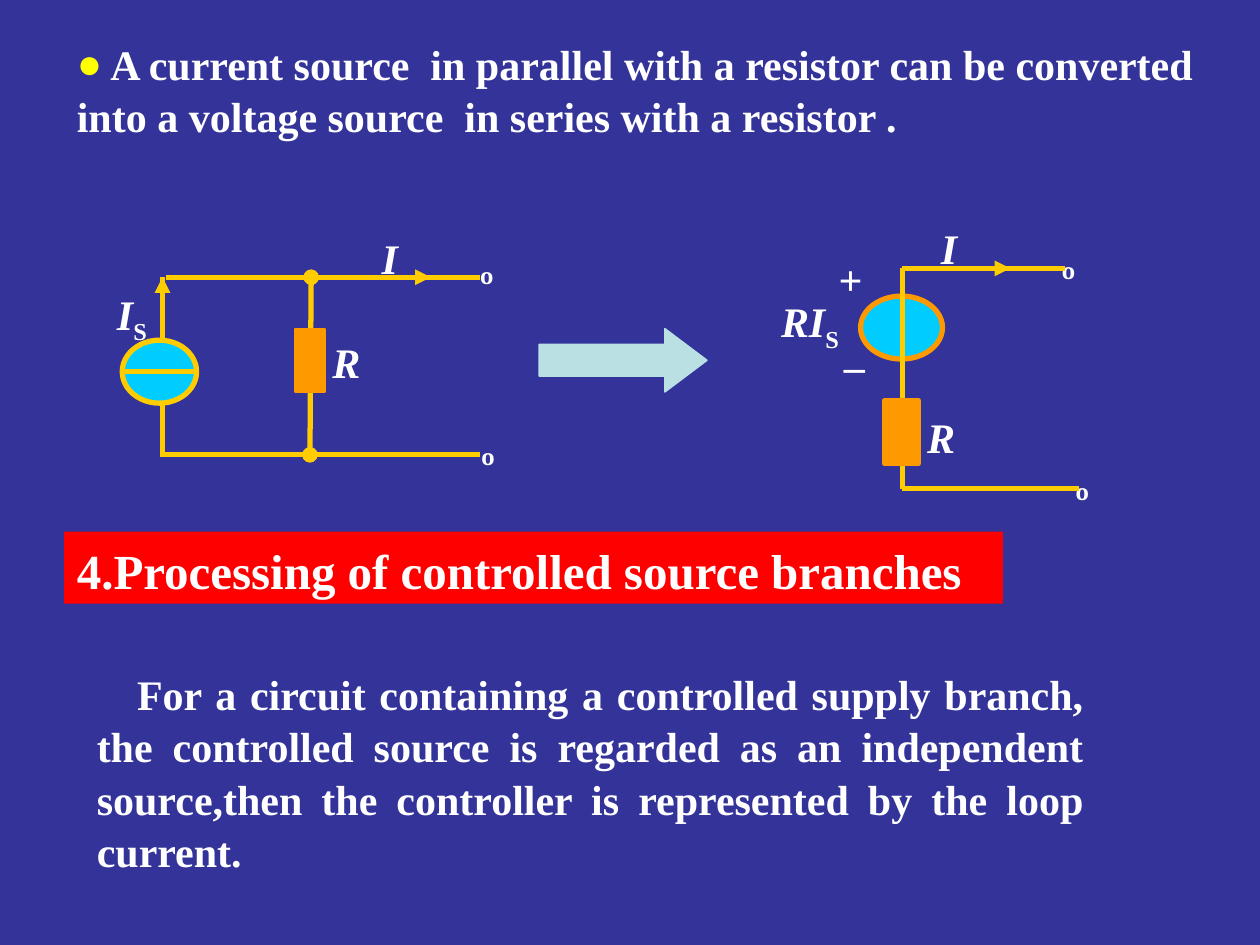
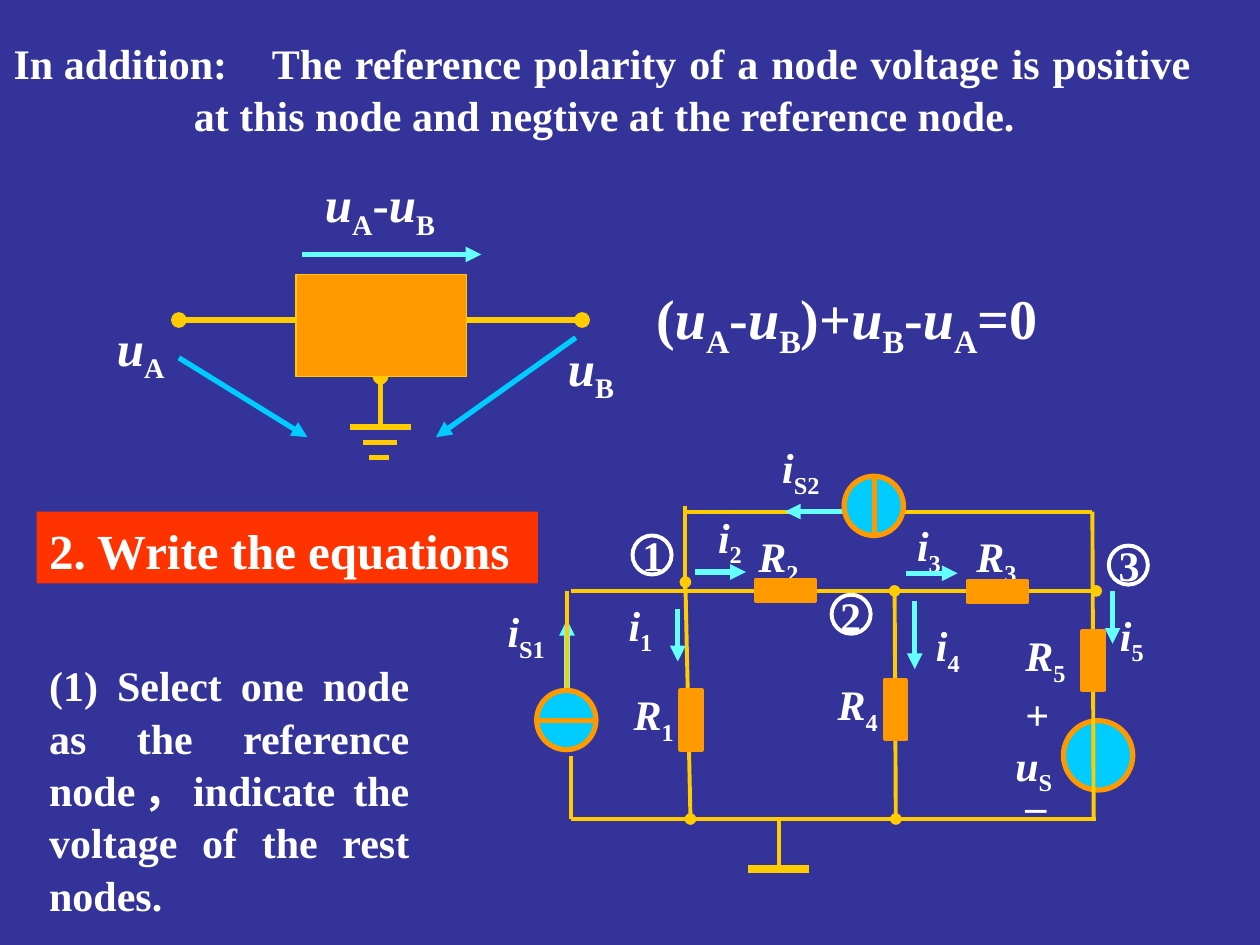
"""Build two lecture slides on source conversion and node voltages."""
from dataclasses import dataclass

from lxml.etree import SubElement
from pptx import Presentation
from pptx.dml.color import RGBColor
from pptx.enum.shapes import MSO_CONNECTOR, MSO_SHAPE
from pptx.enum.text import MSO_ANCHOR, MSO_AUTO_SIZE, PP_ALIGN
from pptx.oxml.ns import qn
from pptx.util import Inches, Pt


@dataclass(frozen=True)
class Theme:
    font: str = "Times New Roman"
    back: str = "333399"
    text: str = "FFFFFF"
    wire: str = "FFCC00"
    load: str = "FF9900"
    source: str = "00CCFF"
    flow: str = "66FFFF"
    pale: str = "BBE0E3"
    dot: str = "FFFF00"
    body: int = 24
    head: int = 28
    large: int = 32
    thin: float = 2.25
    thick: float = 3
    pitch: float = 1.04


T = Theme()
LEFT, MID, JUST = PP_ALIGN.LEFT, PP_ALIGN.CENTER, PP_ALIGN.JUSTIFY
OVAL, RECT = MSO_SHAPE.OVAL, MSO_SHAPE.RECTANGLE


def write(shape, text, box, size=T.body, align=LEFT, indent=0):
    """Place text; a piece led by / is italic and one led by ~ is a subscript."""
    shape.left, shape.top, shape.width, shape.height = map(Inches, box)
    frame = shape.text_frame
    frame.word_wrap = True
    frame.auto_size = MSO_AUTO_SIZE.NONE
    frame.vertical_anchor = MSO_ANCHOR.TOP
    para = frame.paragraphs[0]
    para.alignment = align
    para.line_spacing = T.pitch
    para.space_before = Pt(0)
    props = para._p.get_or_add_pPr()
    props.set("marL", "0")
    props.set("indent", str(Inches(indent)))
    for piece in text.split("|"):
        run = para.add_run()
        run.text = piece.lstrip("/~")
        font = run.font
        font.name, font.size, font.bold = T.font, Pt(size), True
        font.italic = piece.startswith("/")
        font.color.rgb = RGBColor.from_string(T.text)
        if piece.startswith("~"):
            run._r.get_or_add_rPr().set("baseline", "-25000")
    return props


def draw(slide, kind, box, edge, width, fill=None, tips=""):
    """Draw a preset shape, or a line from point to point when kind is None."""
    sizes = [Inches(n) for n in box]
    if kind is None:
        shape = slide.shapes.add_connector(MSO_CONNECTOR.STRAIGHT, *sizes)
    else:
        shape = slide.shapes.add_shape(kind, *sizes)
        shape.shadow.inherit = False
        if fill:
            shape.fill.solid()
            shape.fill.fore_color.rgb = RGBColor.from_string(fill)
        else:
            shape.fill.background()
    shape.line.color.rgb = RGBColor.from_string(edge)
    shape.line.width = Pt(width)
    if kind is None:
        props = shape.element.spPr
        for end, mark in (("headEnd", "o"), ("tailEnd", "O"), ("tailEnd", ">")):
            if mark in tips:
                tip = SubElement(props.find(qn("a:ln")), qn(f"a:{end}"))
                tip.set("type", "triangle" if mark == ">" else "oval")
        SubElement(props, qn("a:effectLst"))
    return shape


deck = Presentation()
deck.slide_width, deck.slide_height = Inches(10), Inches(7.5)
fill = deck.slide_master.background.fill
fill.solid()
fill.fore_color.rgb = RGBColor.from_string(T.back)
first, second = [deck.slides.add_slide(deck.slide_layouts[1]) for _ in range(2)]

for slide, text, box, color in (
    (first, "4.Processing of controlled source branches", (0.51, 4.22, 7.45, 0.57), "FF0000"),
    (second, "2. Write the equations", (0.29, 4.06, 3.98, 0.57), "FF3300"),
):
    title = slide.shapes.title
    write(title, text, box, T.head)
    title.fill.solid()
    title.fill.fore_color.rgb = RGBColor.from_string(color)

props = write(
    first.placeholders[1],
    " A current source  in parallel with a resistor can be converted "
    "into a voltage source  in series with a resistor .",
    (0.51, 0.24, 9.35, 0.91),
)
tint = SubElement(SubElement(props, qn("a:buClr")), qn("a:srgbClr"))
tint.set("val", T.dot)
SubElement(props, qn("a:buChar")).set("char", "●")

props = write(
    second.placeholders[1],
    "(1) Select one node as the reference node，indicate the voltage of the rest nodes.",
    (0.29, 5.17, 3.06, 2.12), align=JUST,
)
SubElement(props, qn("a:buNone"))

for slide, text, box, size, align, indent in (
    (first, "For a circuit containing a controlled supply branch, the controlled "
     "source is regarded as an independent source,then the controller is "
     "represented by the loop current.", (0.67, 5.24, 8.03, 1.72), T.body, JUST, 0.32),
    (second, "The reference polarity of a node voltage is positive at this node "
     "and negtive at the reference node.", (1.44, 0.23, 8.11, 0.91), T.body, JUST, 0.62),
    (second, "In addition:", (0.01, 0.23, 2.14, 0.5), T.body, LEFT, 0),
    (second, "(|/u|~A|-|/u|~B|)+|/u|~B|-|/u|~A|=0", (5.11, 2.18, 3.98, 0.63), T.large, LEFT, 0),
    (second, "/u|~A|-|/u|~B", (2.48, 1.31, 1.25, 0.57), T.head, LEFT, 0),
    (second, "/u|~A", (0.83, 2.45, 0.66, 0.57), T.head, LEFT, 0),
    (second, "/u|~B", (4.41, 2.61, 0.64, 0.57), T.head, LEFT, 0),
):
    write(slide.shapes.add_textbox(0, 0, 0, 0), text, box, size, align, indent)

for slide, text, left, top, width, align in (
    (first, "/I", 2.93, 1.78, 0.49, LEFT),
    (first, "/R", 2.54, 2.61, 0.44, LEFT),
    (first, "/I|~S", 0.83, 2.22, 0.59, LEFT),
    (first, "º", 3.71, 1.99, 0.24, MID),
    (first, "º", 3.72, 3.42, 0.24, MID),
    (first, "+", 6.51, 1.95, 0.48, MID),
    (first, "_", 6.54, 2.52, 0.48, MID),
    (first, "/RI|~S", 6.1, 2.28, 0.89, LEFT),
    (first, "/I", 7.37, 1.7, 0.54, LEFT),
    (first, "/R", 7.26, 3.2, 1.67, LEFT),
    (first, "º", 8.32, 1.95, 0.32, MID),
    (first, "º", 8.43, 3.7, 0.32, MID),
    (second, "/i|~S1", 3.93, 4.74, 0.58, LEFT),
    (second, "/i|~S2", 6.11, 3.44, 0.58, LEFT),
    (second, "/u|~S", 7.96, 5.8, 0.58, LEFT),
    (second, "/R|~1", 4.93, 5.4, 0.58, LEFT),
    (second, "/R|~2", 5.92, 4.14, 0.58, LEFT),
    (second, "/R|~3", 7.65, 4.14, 0.58, LEFT),
    (second, "/R|~4", 6.55, 5.32, 0.58, LEFT),
    (second, "/R|~5", 8.04, 4.93, 0.58, LEFT),
    (second, "/i|~1", 4.89, 4.69, 0.45, LEFT),
    (second, "/i|~2", 5.6, 3.99, 0.45, LEFT),
    (second, "/i|~3", 7.18, 4.06, 0.45, LEFT),
    (second, "/i|~4", 7.33, 4.85, 0.45, LEFT),
    (second, "/i|~5", 8.79, 4.77, 0.45, LEFT),
    (second, "+", 8.04, 5.4, 0.39, LEFT),
    (second, "_", 8.04, 6.01, 0.39, LEFT),
    (second, "1", 5, 4.14, 0.34, LEFT),
    (second, "2", 6.57, 4.62, 0.34, LEFT),
    (second, "3", 8.78, 4.22, 0.34, LEFT),
):
    write(slide.shapes.add_textbox(0, 0, 0, 0), text, (left, top, width, 0.5), align=align)

for ends, tips in (
    ((1.32, 2.2, 3.81, 2.2), ""),
    ((1.27, 3.61, 3.81, 3.61), ""),
    ((1.29, 2.2, 1.29, 3.61), ""),
    ((1.29, 2.61, 1.29, 2.2), ">"),
    ((2.46, 3.61, 2.47, 2.2), "oO"),
    ((2.44, 2.2, 3.42, 2.2), ">"),
):
    draw(first, None, ends, T.wire, T.thick, tips=tips)
for kind, box, edge, width, color in (
    (OVAL, (0.97, 2.7, 0.59, 0.5), T.wire, T.thick, T.source),
    (RECT, (2.34, 2.61, 0.24, 0.5), T.load, 1, T.load),
    (OVAL, (6.83, 2.35, 0.65, 0.5), T.load, T.thick, T.source),
):
    draw(first, kind, box, edge, width, color)
arrow = draw(first, MSO_SHAPE.RIGHT_ARROW, (4.28, 2.61, 1.33, 0.5), T.pale, 1, T.pale)
arrow.adjustments[0], arrow.adjustments[1] = 0.5, 0.665
for ends, tips in (
    ((0.97, 2.95, 1.56, 2.95), ""),
    ((7.16, 2.13, 7.16, 3.88), ""),
    ((7.16, 2.13, 8.45, 2.13), ""),
    ((7.16, 3.88, 8.56, 3.88), ""),
    ((7.16, 2.13, 8.02, 2.13), ">"),
):
    draw(first, None, ends, T.wire, T.thick, tips=tips)
draw(first, RECT, (7.02, 3.18, 0.27, 0.5), T.load, T.thick, T.load)

for ends, color, tips in (
    ((2.4, 2.02, 3.82, 2.02), T.flow, ">"),
    ((3.02, 2.99, 3.02, 3.39), T.wire, "o"),
    ((2.78, 3.39, 3.26, 3.39), T.wire, ""),
    ((2.88, 3.51, 3.15, 3.51), T.wire, ""),
    ((2.93, 3.63, 3.09, 3.63), T.wire, ""),
    ((1.42, 2.54, 2.35, 2.54), T.wire, "o"),
    ((3.69, 2.54, 4.62, 2.54), T.wire, "O"),
    ((1.42, 2.84, 2.44, 3.47), T.source, ">"),
    ((4.57, 2.68, 3.46, 3.47), T.source, ">"),
):
    draw(second, None, ends, color, T.thick, tips=tips)
draw(second, RECT, (2.35, 2.18, 1.35, 0.81), T.wire, 0.75, T.load)

draw(second, OVAL, (8.44, 5.72, 0.55, 0.55), T.load, T.thick, T.source)
for ends, tips in (
    ((5.44, 4.06, 8.67, 4.06), ""),
    ((4.53, 6, 4.53, 6.5), ""),
    ((4.53, 6.5, 8.7, 6.5), ""),
    ((5.48, 6.5, 5.44, 4.62), "oO"),
    ((4.53, 4.69, 8.7, 4.69), "O"),
    ((7.1, 4.69, 7.11, 6.5), "oO"),
    ((5.44, 4.69, 5.44, 4.02), ""),
    ((8.67, 4.06, 8.68, 6.5), ""),
    ((6.18, 6.51, 6.18, 6.9), ""),
):
    draw(second, None, ends, T.wire, T.thin, tips=tips)
draw(second, None, (5.94, 6.9, 6.42, 6.9), T.wire, 4.5)

for ends in (
    (6.81, 4.06, 6.23, 4.06),
    (5.38, 4.83, 5.38, 5.25),
    (4.5, 5.46, 4.5, 4.92),
    (7.26, 4.77, 7.26, 5.31),
    (7.19, 4.55, 7.6, 4.55),
    (8.83, 4.69, 8.83, 5.11),
    (5.52, 4.54, 5.92, 4.54),
):
    draw(second, None, ends, T.flow, T.thick, tips=">")
draw(second, None, (4.5, 4.69, 4.5, 5.48), T.wire, T.thin)

for left, top, chord in (
    (4.26, 5.48, (4.26, 5.72, 4.73, 5.72)),
    (6.7, 3.78, (6.94, 3.78, 6.94, 4.26)),
):
    draw(second, OVAL, (left, top, 0.47, 0.47), T.load, T.thick, T.source)
    draw(second, None, chord, T.load, T.thick)
for left, top, width, height in (
    (5.4, 5.48, 0.17, 0.47),
    (7.02, 5.4, 0.17, 0.47),
    (8.59, 5.01, 0.17, 0.47),
    (6, 4.6, 0.47, 0.17),
    (7.68, 4.61, 0.47, 0.17),
):
    draw(second, RECT, (left, top, width, height), T.load, T.thin, T.load)
for left, top in ((5.02, 4.25), (6.6, 4.72), (8.8, 4.33)):
    draw(second, OVAL, (left, top, 0.31, 0.31), T.text, T.thin)

deck.save("out.pptx")
